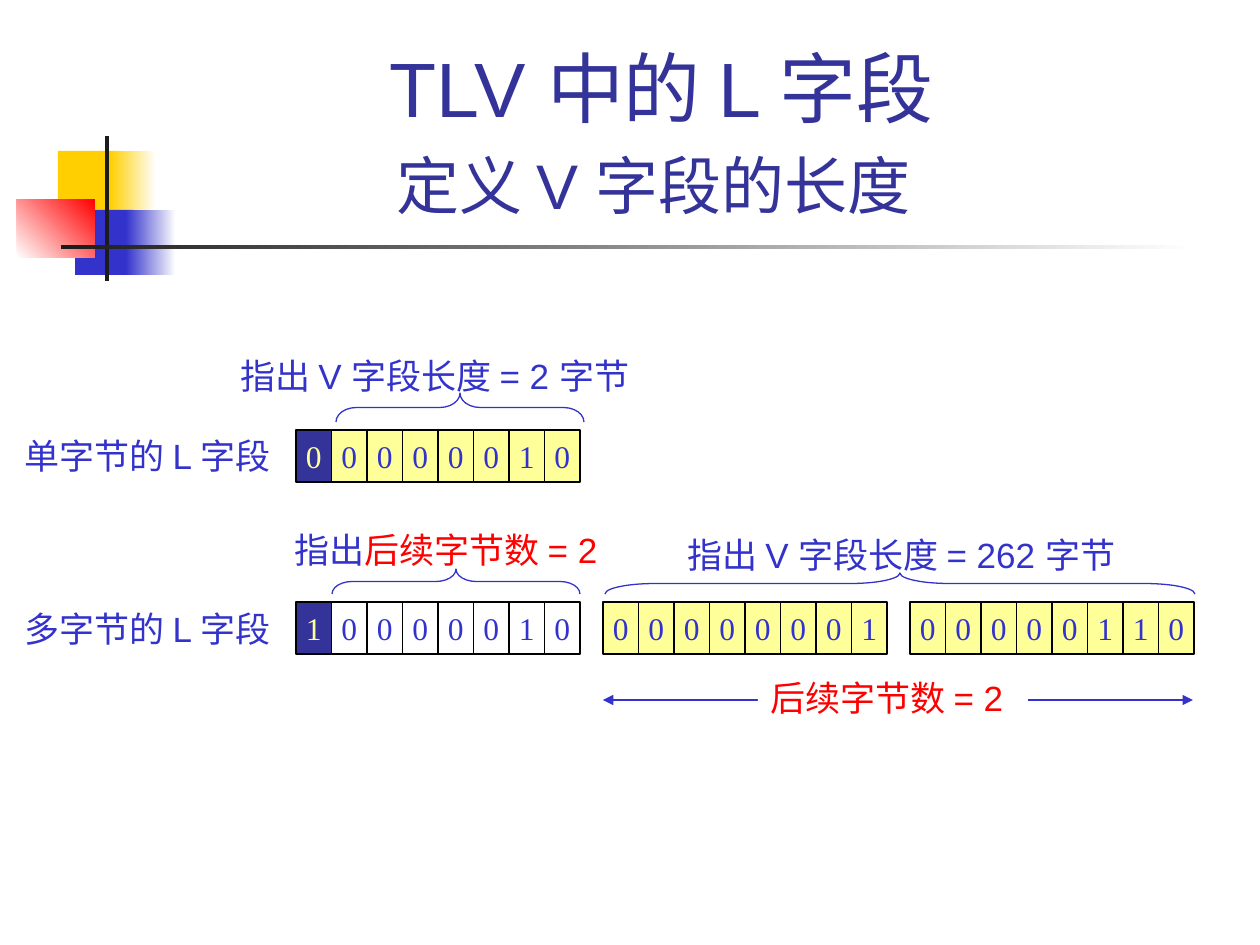
from lxml.etree import SubElement
from pptx import Presentation
from pptx.dml.color import RGBColor
from pptx.enum.shapes import MSO_CONNECTOR, MSO_SHAPE
from pptx.enum.text import MSO_ANCHOR, PP_ALIGN
from pptx.oxml.ns import qn
from pptx.util import Emu, Pt

SCALE = 914400 / 126
OCTET_WIDTH = 284
BITS_PER_OCTET = 8

BLUE = RGBColor(0x33, 0x33, 0xCC)
NAVY = RGBColor(0x33, 0x33, 0x99)
RED = RGBColor(0xFF, 0x00, 0x00)
GOLD = RGBColor(0xFF, 0xCF, 0x01)
YELLOW = RGBColor(0xFF, 0xFF, 0x99)
WHITE = RGBColor(0xFF, 0xFF, 0xFF)
BLACK = RGBColor(0x00, 0x00, 0x00)
CHARCOAL = RGBColor(0x1C, 0x1C, 0x1C)

LABEL = {"name": "Arial", "size": Pt(20)}
TITLE = {"name": "Arial", "size": Pt(44)}
SUBTITLE = {"name": "Arial", "size": Pt(36)}
BIT = {"name": "Times New Roman", "size": Pt(18)}


def px(value):
    return Emu(round(value * SCALE))


def add_run(paragraph, text, style, color):
    run = paragraph.add_run()
    run.text = text
    for name, value in style.items():
        setattr(run.font, name, value)
    run.font.color.rgb = color


def add_rectangle(slide, box, color, line_color=None):
    shape = slide.shapes.add_shape(MSO_SHAPE.RECTANGLE, *map(px, box))
    shape.shadow.inherit = False
    shape.fill.solid()
    shape.fill.fore_color.rgb = color
    if line_color is None:
        shape.line.fill.background()
    else:
        shape.line.color.rgb = line_color
        shape.line.width = Pt(0.75)
    return shape


def add_gradient(slide, box, start, end, angle=0):
    shape = add_rectangle(slide, box, start)
    shape.fill.gradient()
    shape.fill.gradient_angle = angle
    for stop, position, color in zip(shape.fill.gradient_stops, (0, 1), (start, end)):
        stop.position = position
        stop.color.rgb = color


def add_decoration(slide):
    add_rectangle(slide, (58, 151, 60, 66), GOLD)
    add_gradient(slide, (110, 151, 46, 66), GOLD, WHITE)
    add_rectangle(slide, (75, 210, 58, 65), BLUE)
    add_gradient(slide, (126, 210, 50, 65), BLUE, WHITE)
    add_gradient(slide, (17, 199, 78, 59), WHITE, RED, 45)
    add_rectangle(slide, (105, 136, 4, 145), CHARCOAL)
    add_gradient(slide, (61, 245, 1134, 4), CHARCOAL, WHITE)


def add_title(slide):
    frame = slide.shapes.add_textbox(*map(px, (159, 29, 1006, 202))).text_frame
    frame.word_wrap = True
    frame.vertical_anchor = MSO_ANCHOR.BOTTOM
    paragraph = frame.paragraphs[0]
    paragraph.alignment = PP_ALIGN.CENTER
    add_run(paragraph, "TLV 中的 L 字段", TITLE, NAVY)
    paragraph.add_line_break()
    add_run(paragraph, "定义 V 字段的长度", SUBTITLE, NAVY)
    add_run(paragraph, " ", TITLE, NAVY)


def add_label(slide, box, *parts):
    frame = slide.shapes.add_textbox(*map(px, box)).text_frame
    frame.word_wrap = False
    for text, color in parts:
        add_run(frame.paragraphs[0], text, LABEL, color)


def add_octet(slide, left, top, bits, color, has_flag=False):
    for index, bit in enumerate(bits):
        is_flag = has_flag and index == 0
        fill, text_color = (NAVY, YELLOW) if is_flag else (color, BLUE)
        cell_left = left + index * OCTET_WIDTH / BITS_PER_OCTET
        box = (cell_left, top, OCTET_WIDTH / BITS_PER_OCTET, 52)
        shape = add_rectangle(slide, box, fill, BLACK)
        frame = shape.text_frame
        frame.word_wrap = False
        frame.vertical_anchor = MSO_ANCHOR.MIDDLE
        paragraph = frame.paragraphs[0]
        paragraph.alignment = PP_ALIGN.CENTER
        add_run(paragraph, bit, BIT, text_color)


def add_brace(slide, left, top, width, height, curve):
    center_x, center_y = left + width / 2, top + height / 2
    box = (center_x - height / 2, center_y - width / 2, height, width)
    shape = slide.shapes.add_shape(MSO_SHAPE.RIGHT_BRACE, *map(px, box))
    shape.rotation = 270
    shape.adjustments[0] = curve
    shape.shadow.inherit = False
    shape.fill.background()
    shape.line.color.rgb = BLUE
    shape.line.width = Pt(0.75)


def add_double_arrow(slide, left, right, y):
    connector = slide.shapes.add_connector(
        MSO_CONNECTOR.STRAIGHT, px(left), px(y), px(right), px(y)
    )
    connector.line.color.rgb = BLUE
    connector.line.width = Pt(0.75)
    properties = connector.element.spPr
    line = properties.find(qn("a:ln"))
    for end in ("a:headEnd", "a:tailEnd"):
        SubElement(line, qn(end), type="triangle")
    SubElement(properties, qn("a:effectLst"))


def add_arrow_caption(slide):
    shape = add_rectangle(slide, (758, 670, 270, 97), WHITE)
    frame = shape.text_frame
    frame.word_wrap = True
    frame.vertical_anchor = MSO_ANCHOR.TOP
    paragraph = frame.paragraphs[0]
    paragraph.alignment = PP_ALIGN.LEFT
    add_run(paragraph, "后续字节数 = 2", LABEL, RED)


def main():
    presentation = Presentation()
    presentation.slide_width, presentation.slide_height = px(1260), px(945)
    slide = presentation.slides.add_slide(presentation.slide_layouts[6])

    add_decoration(slide)
    add_title(slide)

    add_label(slide, (228, 348, 466, 55), ("指出 V 字段长度 = 2 字节", BLUE))
    add_octet(slide, 296, 430, "00000010", YELLOW, has_flag=True)
    add_octet(slide, 296, 602, "10000010", WHITE, has_flag=True)
    add_octet(slide, 603, 602, "00000001", YELLOW)
    add_octet(slide, 910, 602, "00000110", YELLOW)

    add_label(slide, (12, 428, 299, 55), ("单字节的 L 字段", BLUE))
    add_brace(slide, 336, 393, 248, 29, 0.7)
    add_brace(slide, 605, 573, 590, 21, 2.4)
    add_label(slide, (675, 527, 505, 55), ("指出 V 字段长度 = 262 字节", BLUE))
    add_label(slide, (12, 601, 299, 55), ("多字节的 L 字段", BLUE))
    add_brace(slide, 332, 569, 248, 25, 0.8)
    add_double_arrow(slide, 603, 1193, 700)
    add_label(slide, (282, 522, 367, 55), ("指出", BLUE), ("后续字节数 = 2", RED))
    add_arrow_caption(slide)

    presentation.save("out.pptx")


if __name__ == "__main__":
    main()
